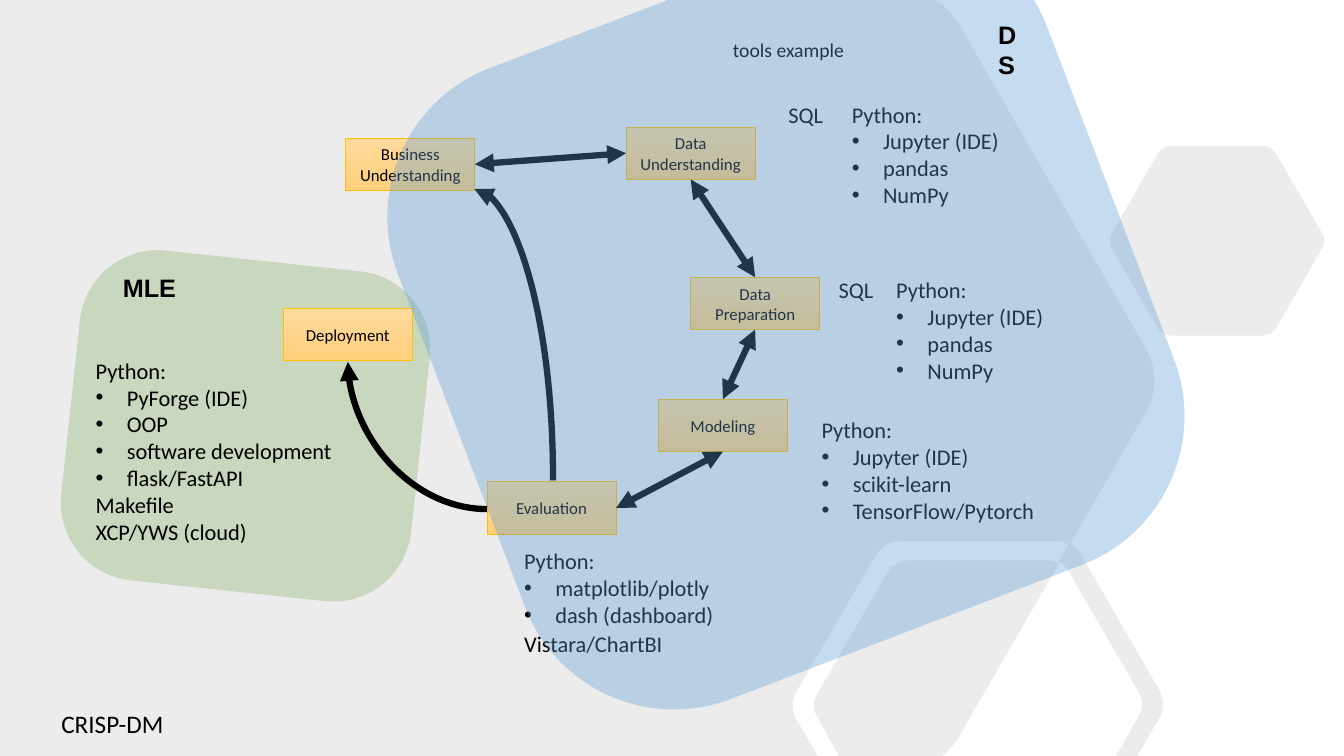
from dataclasses import dataclass

from lxml import etree
from pptx import Presentation
from pptx.dml.color import RGBColor
from pptx.enum.shapes import MSO_CONNECTOR, MSO_SHAPE
from pptx.enum.text import MSO_ANCHOR, PP_ALIGN
from pptx.oxml.ns import qn
from pptx.util import Inches, Pt

RECTANGLE = MSO_SHAPE.RECTANGLE
ROUNDED = MSO_SHAPE.ROUNDED_RECTANGLE
STRAIGHT = MSO_CONNECTOR.STRAIGHT
CURVED = MSO_CONNECTOR.CURVE
CENTER = PP_ALIGN.CENTER
MIDDLE = MSO_ANCHOR.MIDDLE
TOP, LEFT, BOTTOM, RIGHT = range(4)


@dataclass(frozen=True)
class Theme:
    ink: str = "000000"
    backdrop: str = "808080"
    engineering: str = "70AD47"
    science: str = "5B9BD5"
    node_top: str = "FFDB9E"
    node_bottom: str = "FFD07C"
    node_edge: str = "FFC000"
    body_font: str = "Calibri"
    role_font: str = "Arial"
    node_size: int = 12
    note_size: int = 14
    tool_size: int = 16
    title_size: int = 18
    arrow_width: float = 4.5


# Each outline is a list of steps: two numbers draw a line, six a Bezier curve.
BACKDROP_OUTLINES = [
    [(9.01, 5.56), (10.39, 5.56), (10.42, 5.56, 10.44, 5.56, 10.46, 5.57),
     (10.5, 5.59), (10.48, 5.63), (9.51, 7.31),
     (9.48, 7.36, 9.44, 7.41, 9.4, 7.45), (9.35, 7.5), (8.32, 7.5),
     (8.11, 7.12), (8.06, 7.05, 8.06, 6.95, 8.11, 6.88), (8.8, 5.68),
     (8.84, 5.61, 8.92, 5.56, 9.01, 5.56)],
    [(11.62, 1.45), (12.52, 1.45), (12.58, 1.45, 12.63, 1.48, 12.66, 1.53),
     (13.11, 2.31), (13.14, 2.36, 13.14, 2.42, 13.11, 2.47), (12.66, 3.25),
     (12.63, 3.3, 12.58, 3.33, 12.52, 3.33), (11.62, 3.33),
     (11.56, 3.33, 11.51, 3.3, 11.48, 3.25), (11.03, 2.47),
     (11, 2.42, 11, 2.36, 11.03, 2.31), (11.48, 1.53),
     (11.51, 1.48, 11.56, 1.45, 11.62, 1.45)],
    [(0, 0), (9.27, 0), (9.34, 0.04), (9.4, 0.1, 9.46, 0.16, 9.51, 0.24),
     (11.36, 3.45), (11.48, 3.65, 11.48, 3.9, 11.36, 4.1), (10.67, 5.3),
     (10.62, 5.4), (10.66, 5.42, 10.69, 5.46, 10.72, 5.5), (11.5, 6.85),
     (11.55, 6.93, 11.55, 7.04, 11.5, 7.12), (11.28, 7.5), (11.07, 7.5),
     (11.29, 7.11), (11.34, 7.03, 11.34, 6.94, 11.29, 6.86), (10.6, 5.67),
     (10.58, 5.63, 10.55, 5.6, 10.5, 5.57), (10.6, 5.4),
     (10.56, 5.38, 10.52, 5.37, 10.48, 5.37), (8.92, 5.37),
     (8.82, 5.37, 8.73, 5.43, 8.68, 5.52), (7.9, 6.86),
     (7.85, 6.95, 7.85, 7.05, 7.9, 7.14), (8.11, 7.5), (0, 7.5)],
]
NODES = {
    "Business Understanding": (3.43, 1.37),
    "Data Understanding": (6.21, 1.26),
    "Data Preparation": (6.85, 2.75),
    "Modeling": (6.53, 3.96),
    "Evaluation": (4.83, 4.78),
    "Deployment": (2.81, 3.06),
}
LINKS = [
    ("Business Understanding", RIGHT, "Data Understanding", LEFT),
    ("Data Understanding", BOTTOM, "Data Preparation", TOP),
    ("Modeling", TOP, "Data Preparation", BOTTOM),
    ("Evaluation", RIGHT, "Modeling", BOTTOM),
]
DATA_TOOLS = ["Python:", "• Jupyter (IDE)", "• pandas", "• NumPy"]
TOOLS = [
    ((7.72, 0.95, 0.55, 0.37), ["SQL"]),
    ((8.35, 0.95, 1.68, 1.18), DATA_TOOLS),
    ((8.22, 2.69, 0.55, 0.37), ["SQL"]),
    ((8.79, 2.69, 1.68, 1.18), DATA_TOOLS),
    ((8.05, 4.08, 2.34, 1.18),
     ["Python:", "• Jupyter (IDE)", "• scikit-learn", "• TensorFlow/Pytorch"]),
    ((5.1, 5.38, 2.1, 0.91), ["Python:", "• matplotlib/plotly", "• dash (dashboard)"]),
    ((5.1, 6.2, 1.75, 0.37), ["Vistara/ChartBI"]),
    ((0.85, 3.49, 2.58, 2.52),
     ["Python:", "• PyForge (IDE)", "• OOP", "• software development",
      "• flask/FastAPI", "Makefile", "XCP/YWS (cloud)"]),
]


def flatten(outline, steps=8):
    """Turn lines and Bezier steps into a list of points in EMU."""
    points = []
    for step in outline:
        if len(step) == 2:
            points.append(step)
            continue
        corners = [points[-1], step[:2], step[2:4], step[4:]]
        for index in range(1, steps + 1):
            t = index / steps
            weights = ((1 - t) ** 3, 3 * t * (1 - t) ** 2, 3 * t * t * (1 - t), t ** 3)
            points.append(tuple(sum(w * corner[axis] for w, corner in zip(weights, corners))
                                for axis in (0, 1)))
    return [(Inches(x), Inches(y)) for x, y in points]


class SlideBuilder:
    def __init__(self, page, theme):
        self.page = page
        self.theme = theme

    def tint(self, shape, color, alpha):
        """Fill a shape with a see-through colour and no outline."""
        shape.shadow.inherit = False
        shape.line.fill.background()
        shape.fill.solid()
        shape.fill.fore_color.rgb = RGBColor.from_string(color)
        color_node = shape.element.spPr.find(qn("a:solidFill"))[0]
        etree.SubElement(color_node, qn("a:alpha"), val=str(alpha * 1000))

    def backdrop(self, outlines):
        first, *others = [flatten(outline) for outline in outlines]
        builder = self.page.shapes.build_freeform(*first[0])
        builder.add_line_segments(first[1:], close=True)
        for points in others:
            builder.move_to(*points[0])
            builder.add_line_segments(points[1:], close=True)
        self.tint(builder.convert_to_shape(), self.theme.backdrop, 15)

    def zone(self, place, angle, color, alpha):
        shape = self.page.shapes.add_shape(ROUNDED, *map(Inches, place))
        shape.adjustments[0] = 0.236
        shape.rotation = angle
        self.tint(shape, color, alpha)

    def style(self, para, size, font, bold=False):
        para.font.size = Pt(size)
        para.font.name = font
        para.font.bold = bold
        para.font.color.rgb = RGBColor.from_string(self.theme.ink)

    def node(self, label, left, top):
        box = self.page.shapes.add_shape(
            RECTANGLE, Inches(left), Inches(top), Inches(1.28), Inches(0.52))
        box.shadow.inherit = False
        box.fill.gradient()
        box.fill.gradient_angle = 270
        for stop, color in zip(box.fill.gradient_stops,
                               (self.theme.node_top, self.theme.node_bottom)):
            stop.color.rgb = RGBColor.from_string(color)
        box.line.color.rgb = RGBColor.from_string(self.theme.node_edge)
        box.line.width = Pt(0.5)
        frame = box.text_frame
        frame.text = label
        frame.word_wrap = True
        frame.vertical_anchor = MIDDLE
        frame.paragraphs[0].alignment = CENTER
        self.style(frame.paragraphs[0], self.theme.node_size, self.theme.body_font)
        return box

    def arrow(self, connector, ends):
        connector.line.width = Pt(self.theme.arrow_width)
        connector.line.color.rgb = RGBColor.from_string(self.theme.ink)
        line = connector.line._get_or_add_ln()
        for end in ends:
            etree.SubElement(line, qn(f"a:{end}"), type="triangle")
        etree.SubElement(connector.element.spPr, qn("a:effectLst"))

    def link(self, start, start_side, finish, finish_side):
        connector = self.page.shapes.add_connector(STRAIGHT, 0, 0, 0, 0)
        connector.begin_connect(start, start_side)
        connector.end_connect(finish, finish_side)
        self.arrow(connector, ("headEnd", "tailEnd"))

    def curve(self, left, top, width, height, angle, flip=False):
        """Draw a quarter bend; place is given before rotation."""
        connector = self.page.shapes.add_connector(
            CURVED, Inches(left), Inches(top), Inches(left + width), Inches(top + height))
        properties = connector.element.spPr
        properties.find(qn("a:prstGeom")).set("prst", "curvedConnector2")
        transform = properties.find(qn("a:xfrm"))
        transform.set("rot", str(angle * 60000))
        if flip:
            transform.set("flipV", "1")
        self.arrow(connector, ("tailEnd",))

    def text(self, place, lines, size, font=None, bold=False, wrap=False):
        """Add a text box; a line that starts with a bullet becomes a list item."""
        frame = self.page.shapes.add_textbox(*map(Inches, place)).text_frame
        frame.word_wrap = wrap
        frame.text = "\n".join(line.removeprefix("• ") for line in lines)
        for para, line in zip(frame.paragraphs, lines):
            if line.startswith("•"):
                properties = para._p.get_or_add_pPr()
                properties.set("marL", str(Inches(0.31)))
                properties.set("indent", str(-Inches(0.31)))
                etree.SubElement(properties, qn("a:buFont"), typeface="Arial")
                etree.SubElement(properties, qn("a:buChar"), char="•")
            self.style(para, size, font or self.theme.body_font, bold)


def main():
    deck = Presentation()
    deck.slide_width, deck.slide_height = Inches(13.33), Inches(7.5)
    theme = Theme()
    slide = SlideBuilder(deck.slides.add_slide(deck.slide_layouts[6]), theme)

    slide.zone((0.69, 2.58, 3.49, 3.29), 6.1, theme.engineering, 29)
    slide.backdrop(BACKDROP_OUTLINES)
    nodes = {label: slide.node(label, *place) for label, place in NODES.items()}
    for start, start_side, finish, finish_side in LINKS:
        slide.link(nodes[start], start_side, nodes[finish], finish_side)
    slide.curve(3.45, 3.59, 1.38, 1.46, 180)
    slide.curve(3.65, 2.93, 2.89, 0.78, 270, flip=True)

    slide.text((0.51, 6.98, 1.22, 0.4), ["CRISP-DM"], theme.title_size)
    slide.text((7.17, 0.33, 1.32, 0.34), ["tools example"], theme.note_size)
    for place, lines in TOOLS:
        slide.text(place, lines, theme.tool_size)

    slide.zone((4.35, -0.21, 6.89, 6.7), 339.1, theme.science, 35)
    slide.text((9.8, 0.14, 0.48, 0.4), ["DS"], theme.title_size, theme.role_font, True, wrap=True)
    slide.text((1.12, 2.65, 0.78, 0.4), ["MLE"], theme.title_size, theme.role_font, True)
    deck.save("out.pptx")


if __name__ == "__main__":
    main()
